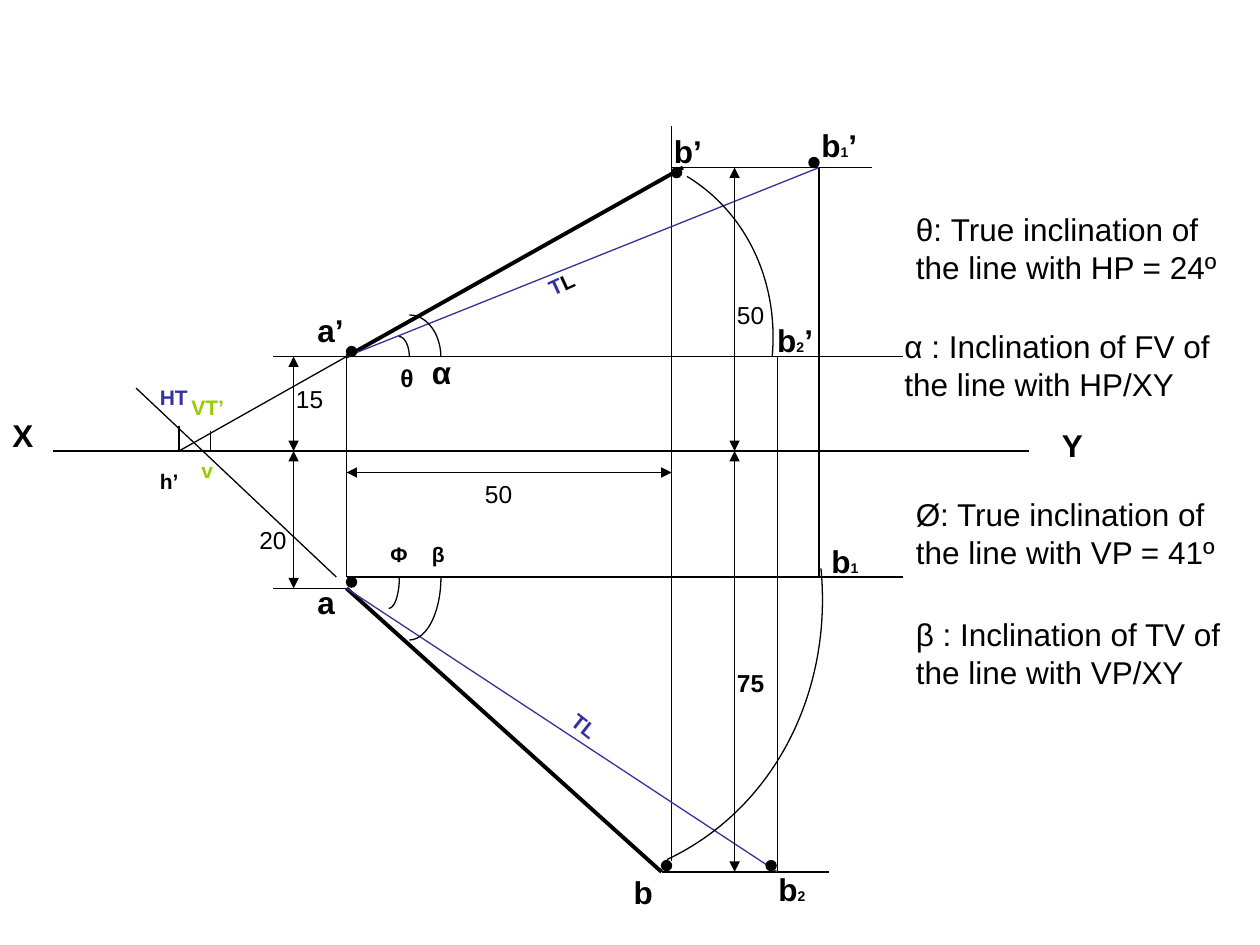
"""Draw the orthographic projections of a line inclined to both planes."""
from typing import NamedTuple

from lxml.etree import SubElement
from pptx import Presentation
from pptx.dml.color import RGBColor
from pptx.enum.shapes import MSO_CONNECTOR as Connector, MSO_SHAPE as Shape
from pptx.oxml.ns import qn
from pptx.util import Inches, Pt

BLACK, BLUE, GREEN = "000000", "333399", "99CC00"
HAIR, THIN, THICK = 0.25, 0.75, 2.25
DOT = 0.08

XY_LEVEL = 3.58
A_FRONT, B_FRONT = 2.83, 1.33
A_TOP, A_TOP_LOCUS, B_TOP = 4.67, 4.58, 6.92
A_X, B_X, B1_X, B2_X = 2.75, 5.33, 6.5, 6.17
DIM_LEFT, DIM_RIGHT = 2.33, 5.83
HT_X, VT_X = 1.42, 1.67


class Line(NamedTuple):
    x1: float
    y1: float
    x2: float
    y2: float
    width: float = THIN
    color: str = BLACK
    dimension: bool = False


class Arc(NamedTuple):
    left: float
    top: float
    width: float
    height: float
    start: float = 270
    end: float = 0
    turn: float = 0


class Run(NamedTuple):
    text: str
    size: float = 18
    color: str = BLACK
    bold: bool = True


class Label(NamedTuple):
    left: float
    top: float
    width: float
    runs: list[Run]
    height: float = 0.4
    turn: float = 0


LINES = [
    Line(0.42, XY_LEVEL, 8.17, XY_LEVEL),
    Line(A_X, A_FRONT, 2.17, A_FRONT),
    Line(A_X, A_TOP, 2.17, A_TOP),
    Line(A_X, A_FRONT, A_X, A_TOP_LOCUS),
    Line(B_X, 1, B_X, 6.83),
    Line(B_X, B_FRONT, 6.92, B_FRONT),
    Line(5.25, B_TOP, 6.58, B_TOP),
    Line(A_X, A_TOP_LOCUS, 7.17, A_TOP_LOCUS),
    Line(A_X, A_FRONT, 7.17, A_FRONT, HAIR),
    Line(B1_X, A_TOP_LOCUS, B1_X, B_FRONT),
    Line(B2_X, A_FRONT, B2_X, B_TOP),
    Line(A_X, A_FRONT, 5.42, B_FRONT, THICK),
    Line(A_X, A_TOP, 5.25, B_TOP, THICK),
    Line(A_X, A_FRONT, B1_X, B_FRONT, THIN, BLUE),
    Line(A_X, A_TOP, B2_X, B_TOP, THIN, BLUE),
    Line(A_X, A_FRONT, HT_X, XY_LEVEL),
    Line(2.67, A_TOP_LOCUS, 1.08, 3.08),
    Line(HT_X, XY_LEVEL, HT_X, 3.38),
    Line(VT_X, XY_LEVEL, VT_X, 3.42),
    Line(DIM_LEFT, A_FRONT, DIM_LEFT, XY_LEVEL, dimension=True),
    Line(DIM_LEFT, XY_LEVEL, DIM_LEFT, A_TOP, HAIR, dimension=True),
    Line(A_X, 3.75, B_X, 3.75, dimension=True),
    Line(DIM_RIGHT, B_FRONT, DIM_RIGHT, XY_LEVEL, dimension=True),
    Line(DIM_RIGHT, XY_LEVEL, DIM_RIGHT, B_TOP, HAIR, dimension=True),
]

POINTS = [(A_X, 2.75), (A_X, A_TOP_LOCUS), (B_X, B_FRONT),
          (5.25, 6.83), (6.42, 1.25), (6.08, 6.83)]

ARCS = [
    Arc(1.73, 2.31, 5, 4.5, start=294, turn=64.8),
    Arc(3.09, 1.16, 3, 3.33, end=328.8, turn=31.2),
    Arc(3.08, 2.67, 0.17, 0.33),
    Arc(3, 2.5, 0.5, 0.67),
    Arc(3, 4.33, 0.17, 0.5, start=0, end=90),
    Arc(3, 4.08, 0.5, 1, start=0, end=90),
]

LABELS = [
    Label(2.42, 2.42, 0.42, [Run("a’")]),
    Label(0, 3.25, 0.33, [Run("X")]),
    Label(8.33, 3.33, 0.42, [Run("Y")]),
    Label(2.42, 4.58, 0.33, [Run("a")]),
    Label(5.25, 1, 0.58, [Run("b’")]),
    Label(4.93, 6.88, 0.33, [Run("b")]),
    Label(6.5, 4.25, 0.58, [Run("b"), Run("1", 8)]),
    Label(6.42, 0.95, 0.58, [Run("b"), Run("1", 8), Run("’")]),
    Label(6.07, 2.5, 0.58, [Run("b"), Run("2", 8), Run("’")]),
    Label(6.08, 6.86, 0.5, [Run("b"), Run("2", 8)]),
    Label(3.33, 2.75, 0.42, [Run("α")]),
    Label(3.08, 2.83, 0.33, [Run("θ", 14)], 0.34),
    Label(3, 4.25, 0.36, [Run("Φ", 12)], 0.3),
    Label(3.33, 4.25, 0.42, [Run("β", 12)], 0.3),
    Label(4.25, 2.08, 0.5, [Run("T", 12, BLUE), Run("L", 12)], 0.3, 335.2),
    Label(4.42, 5.67, 0.58, [Run("TL", 12, BLUE)], 0.3, 38.1),
    Label(1.17, 3.67, 0.42, [Run("h’", 12)], 0.3),
    Label(1.17, 3, 0.5, [Run("HT", 12, BLUE)], 0.3),
    Label(1.5, 3.58, 0.58, [Run("v", 12, GREEN)], 0.3),
    Label(1.42, 3.08, 0.58, [Run("VT’", 12, GREEN)], 0.3),
]

DIMENSIONS = [(2.25, 3, "15", False), (1.96, 4.12, "20", False), (3.75, 3.75, "50", False),
              (5.75, 2.33, "50", False), (5.75, 5.25, "75", True)]

LEGEND = [
    (7.17, 1.62, "θ: True inclination of the line with HP = 24º"),
    (7.08, 2.55, "α : Inclination of FV of the line with HP/XY"),
    (7.17, 3.88, "Ø: True inclination of the line with VP = 41º"),
    (7.17, 4.83, "β : Inclination of TV of the line with VP/XY"),
]


def rgb(color: str) -> RGBColor:
    return RGBColor.from_string(color)


def draw_line(shapes, line: Line) -> None:
    ends = [Inches(value) for value in line[:4]]
    connector = shapes.add_connector(Connector.STRAIGHT, *ends)
    connector.line.width = Pt(line.width)
    connector.line.color.rgb = rgb(line.color)
    if line.dimension:
        stroke = connector.line._get_or_add_ln()
        for tag in ("a:headEnd", "a:tailEnd"):
            SubElement(stroke, qn(tag), type="triangle")
    SubElement(connector._element.spPr, qn("a:effectLst"))


def draw_point(shapes, left: float, top: float) -> None:
    point = shapes.add_shape(Shape.OVAL, Inches(left), Inches(top), Inches(DOT), Inches(DOT))
    point.shadow.inherit = False
    point.fill.solid()
    point.fill.fore_color.rgb = rgb(BLACK)
    point.line.color.rgb = rgb(BLACK)
    point.line.width = Pt(THIN)


def draw_arc(shapes, arc: Arc) -> None:
    curve = shapes.add_shape(Shape.ARC, *[Inches(value) for value in arc[:4]])
    curve.adjustments[0] = arc.start * 0.6
    curve.adjustments[1] = arc.end * 0.6
    curve.rotation = arc.turn
    curve.shadow.inherit = False
    curve.fill.background()
    curve.line.color.rgb = rgb(BLACK)
    curve.line.width = Pt(THIN)


def draw_label(shapes, label: Label) -> None:
    box = shapes.add_textbox(Inches(label.left), Inches(label.top),
                             Inches(label.width), Inches(label.height))
    box.rotation = label.turn
    box.text_frame.word_wrap = True
    paragraph = box.text_frame.paragraphs[0]
    for part in label.runs:
        run = paragraph.add_run()
        run.text = part.text
        run.font.name = "Arial"
        run.font.size = Pt(part.size)
        run.font.bold = part.bold
        run.font.color.rgb = rgb(part.color)


def main() -> None:
    deck = Presentation()
    deck.slide_width, deck.slide_height = Inches(10), Inches(7.5)
    shapes = deck.slides.add_slide(deck.slide_layouts[6]).shapes
    for line in LINES:
        draw_line(shapes, line)
    for left, top in POINTS:
        draw_point(shapes, left, top)
    for arc in ARCS:
        draw_arc(shapes, arc)
    for label in LABELS:
        draw_label(shapes, label)
    for left, top, value, bold in DIMENSIONS:
        draw_label(shapes, Label(left, top, 0.42, [Run(value, 14, bold=bold)], 0.34))
    for left, top, meaning in LEGEND:
        draw_label(shapes, Label(left, top, 2.83, [Run(meaning, bold=False)], 0.7))
    deck.save("out.pptx")


if __name__ == "__main__":
    main()
